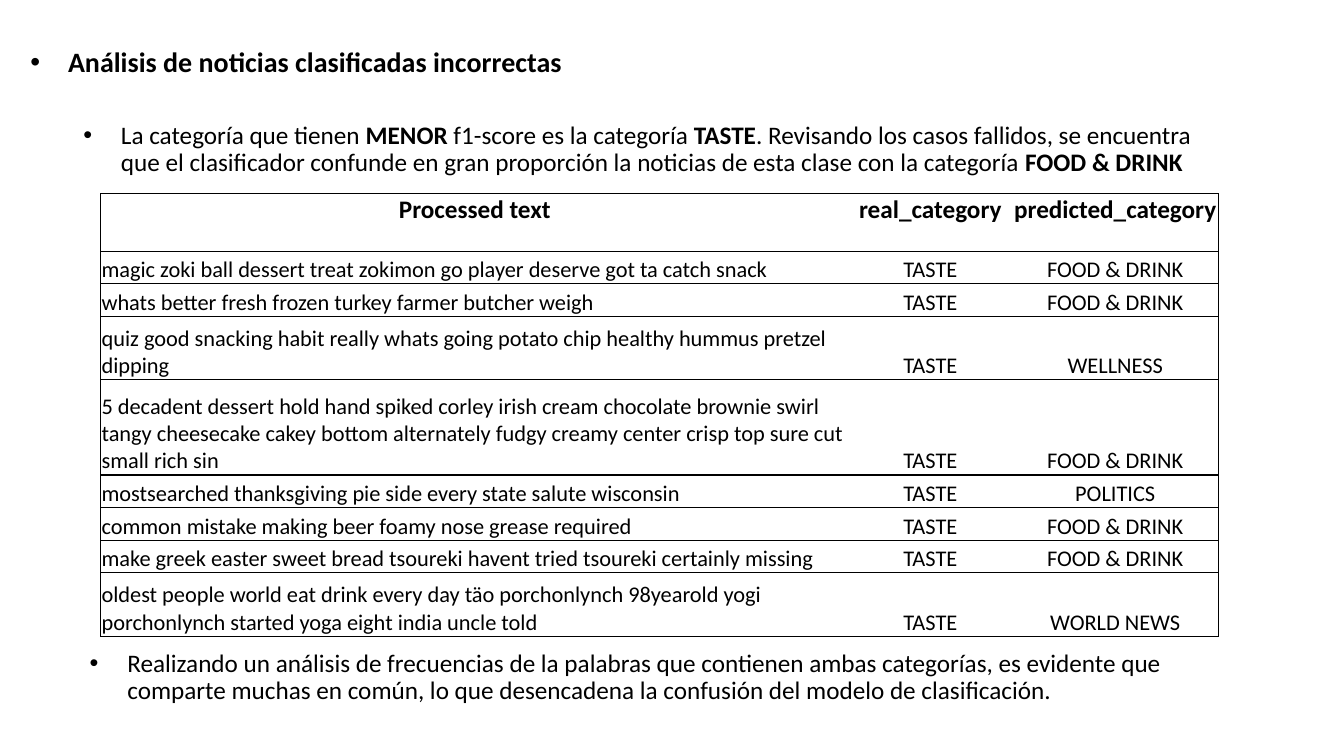
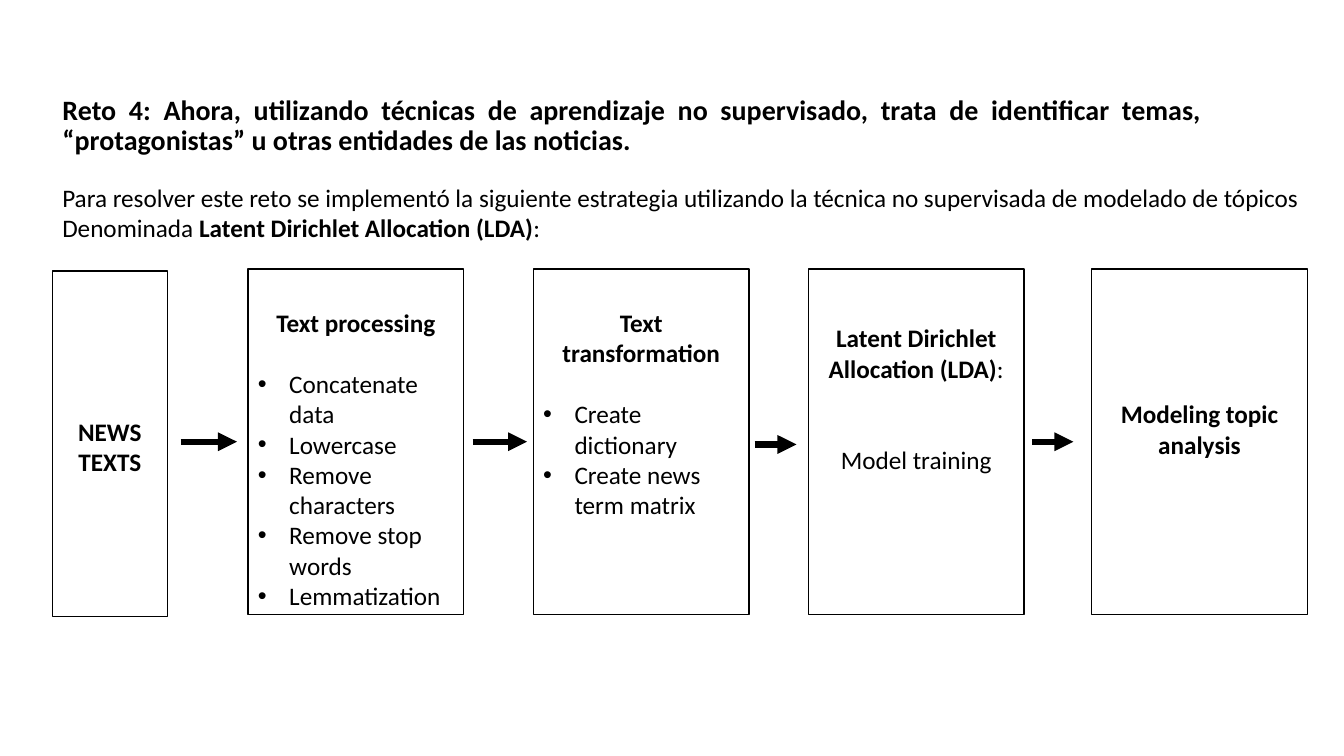
from dataclasses import dataclass

import pptx
import pptx.dml.color
import pptx.enum.shapes
import pptx.enum.text
import pptx.oxml
import pptx.oxml.ns
import pptx.util
from lxml import etree

Cm = pptx.util.Cm
Pt = pptx.util.Pt
ALIGN = pptx.enum.text.PP_ALIGN
ANCHOR = pptx.enum.text.MSO_ANCHOR
qn = pptx.oxml.ns.qn


# Shared look
@dataclass(frozen=True)
class Theme:
    font: str = "Calibri"
    ink: str = "000000"
    paper: str = "FFFFFF"
    title: int = 20
    body: int = 18
    cell: int = 16
    rule: float = 1
    arrow: float = 4.5
    tight: float = 0.9


THEME = Theme()


@dataclass(frozen=True)
class Para:
    text: str  # **marks** set bold runs
    bullet: bool = False
    after: float = 0


@dataclass(frozen=True)
class Step:
    left: float
    top: float
    width: float
    text_top: float
    paras: tuple[Para, ...]


@dataclass(frozen=True)
class Arrow:
    start: float
    end: float
    y: float


def rgb(value: str):
    return pptx.dml.color.RGBColor.from_string(value)


# Text
def write(p, text: str, *, size: float = THEME.body, bold: bool = False,
          align=ALIGN.LEFT, spacing: float = 1, after: float = 0,
          bullet_indent: float = 0) -> None:
    p.alignment = align
    p.line_spacing = spacing
    p.space_before, p.space_after = Pt(0), Pt(after)
    for i, part in enumerate(text.split("**")):
        if part:
            r = p.add_run()
            r.text = part
            r.font.name = THEME.font
            r.font.size = Pt(size)
            r.font.bold = bold or i % 2 == 1
            r.font.color.rgb = rgb(THEME.ink)
    if bullet_indent:
        pPr = p._p.get_or_add_pPr()
        pPr.set("marL", str(Cm(bullet_indent)))
        pPr.set("indent", str(-Cm(bullet_indent)))
        etree.SubElement(pPr, qn("a:buFont")).set("typeface", "Arial")
        etree.SubElement(pPr, qn("a:buChar")).set("char", "•")


def place(sp, left: float, top: float, width: float, height: float):
    sp.left, sp.top, sp.width, sp.height = map(Cm, (left, top, width, height))
    tf = sp.text_frame
    tf.word_wrap = True
    tf.auto_size = pptx.enum.text.MSO_AUTO_SIZE.NONE
    tf.vertical_anchor = ANCHOR.MIDDLE
    return tf


def add_title_slide(prs, text: str, left: float, top: float, height: float,
                    **fmt):
    s = prs.slides.add_slide(prs.slide_layouts.get_by_name("Title Only"))
    tf = place(s.shapes.title, left, top, 29.21, height)
    write(tf.paragraphs[0], text, size=THEME.title, bold=True,
          spacing=THEME.tight, **fmt)
    return s


def add_bullet(s, text: str, left: float, top: float) -> None:
    sp = s.shapes.add_textbox(0, 0, 0, 0)
    tf = place(sp, left, top, 29.21, 2.18)
    write(tf.paragraphs[0], text, spacing=THEME.tight, bullet_indent=0.95)


# Table
def set_borders(cell, sides: str) -> None:
    tcPr = cell._tc.get_or_add_tcPr()
    for i, side in enumerate("LRTB"):
        ln = tcPr.makeelement(qn(f"a:ln{side}"), {"w": str(Pt(THEME.rule))})
        if side in sides:
            fill = etree.SubElement(ln, qn("a:solidFill"))
            etree.SubElement(fill, qn("a:srgbClr")).set("val", THEME.ink)
        else:
            etree.SubElement(ln, qn("a:noFill"))
        tcPr.insert(i, ln)


def add_news_table(s, rows, widths, heights) -> None:
    table = s.shapes.add_table(len(rows), len(widths), Cm(2.54), Cm(4.88),
                               Cm(sum(widths)), Cm(sum(heights))).table
    table.first_row = table.horz_banding = False
    for col, width in zip(table.columns, widths):
        col.width = Cm(width)
    last = len(widths) - 1
    for i, (row, height) in enumerate(zip(rows, heights)):
        table.rows[i].height = Cm(height)
        header = i == 0
        for j, text in enumerate(row):
            cell = table.cell(i, j)
            cell.fill.solid()
            cell.fill.fore_color.rgb = rgb(THEME.paper)
            cell.margin_left = cell.margin_right = cell.margin_top = Cm(0.02)
            cell.margin_bottom = 0
            cell.vertical_anchor = ANCHOR.TOP if header else ANCHOR.BOTTOM
            write(cell.text_frame.paragraphs[0], text, bold=header,
                  size=THEME.body if header else THEME.cell,
                  align=ALIGN.CENTER if header or j else ALIGN.LEFT)
            set_borders(cell, "TB" + "L" * (j == 0) + "R" * (j == last))


# Flow diagram
def add_step(s, step: Step) -> None:
    sp = s.shapes.add_shape(pptx.enum.shapes.MSO_SHAPE.RECTANGLE, 0, 0, 0, 0)
    sp.shadow.inherit = False
    sp.fill.solid()
    sp.fill.fore_color.rgb = rgb(THEME.paper)
    sp.line.color.rgb = rgb(THEME.ink)
    sp.line.width = Pt(THEME.rule)
    tf = place(sp, step.left, step.top, step.width, 8.71)
    tf.vertical_anchor = ANCHOR.TOP
    tf.margin_top = Cm(step.text_top)
    for i, para in enumerate(step.paras):
        p = tf.add_paragraph() if i else tf.paragraphs[0]
        write(p, para.text, after=para.after,
              align=ALIGN.LEFT if para.bullet else ALIGN.CENTER,
              bullet_indent=0.79 if para.bullet else 0)


def add_arrow(s, arrow: Arrow) -> None:
    cx = s.shapes.add_connector(
        pptx.enum.shapes.MSO_CONNECTOR.STRAIGHT,
        Cm(arrow.start), Cm(arrow.y), Cm(arrow.end), Cm(arrow.y))
    cx.line.color.rgb = rgb(THEME.ink)
    cx.line.width = Pt(THEME.arrow)
    etree.SubElement(cx.line._get_or_add_ln(), qn("a:tailEnd")).set("type", "triangle")
    etree.SubElement(cx._element.spPr, qn("a:effectLst"))


# Content
NEWS = [
    ("Processed text", "real_category", "predicted_category"),
    ("magic zoki ball dessert treat zokimon go player deserve got ta catch snack",
     "TASTE", "FOOD & DRINK"),
    ("whats better fresh frozen turkey farmer butcher weigh",
     "TASTE", "FOOD & DRINK"),
    ("quiz good snacking habit really whats going potato chip healthy hummus "
     "pretzel dipping", "TASTE", "WELLNESS"),
    ("5 decadent dessert hold hand spiked corley irish cream chocolate brownie "
     "swirl tangy cheesecake cakey bottom alternately fudgy creamy center crisp "
     "top sure cut small rich sin", "TASTE", "FOOD & DRINK"),
    ("mostsearched thanksgiving pie side every state salute wisconsin",
     "TASTE", "POLITICS"),
    ("common mistake making beer foamy nose grease required",
     "TASTE", "FOOD & DRINK"),
    ("make greek easter sweet bread tsoureki havent tried tsoureki certainly "
     "missing", "TASTE", "FOOD & DRINK"),
    ("oldest people world eat drink every day täo porchonlynch 98yearold yogi "
     "porchonlynch started yoga eight india uncle told", "TASTE", "WORLD NEWS"),
]
COL_WIDTHS = (18.85, 4.11, 5.21)
ROW_HEIGHTS = (1.45, 0.82, 0.82, 1.6, 2.4, 0.82, 0.82, 0.82, 1.6)

LINE_GAP = 22  # one body line
STEPS = [
    Step(1.32, 6.83, 2.9, 3.65, (Para("**NEWS TEXTS**"),)),
    Step(6.25, 6.78, 5.44, 0.97, (
        Para("**Text processing**", after=LINE_GAP),
        *(Para(t, bullet=True) for t in (
            "Concatenate data", "Lowercase", "Remove characters",
            "Remove stop words", "Lemmatization")))),
    Step(13.44, 6.78, 5.44, 0.97, (
        Para("**Text transformation**", after=LINE_GAP),
        *(Para(t, bullet=True) for t in (
            "Create dictionary", "Create news term matrix")))),
    Step(20.37, 6.78, 5.44, 1.35, (
        Para("**Latent Dirichlet Allocation (LDA)**:", after=2 * LINE_GAP),
        Para("Model training"))),
    Step(27.51, 6.78, 5.44, 3.27, (Para("**Modeling topic analysis**"),)),
]
ARROWS = [Arrow(4.55, 5.97, 11.13), Arrow(11.91, 13.28, 11.13),
          Arrow(19.02, 20.07, 11.2), Arrow(26.01, 27.05, 11.13)]


# Slides
def build_errors_slide(prs) -> None:
    s = add_title_slide(prs, "Análisis de noticias clasificadas incorrectas",
                        0.51, 0.51, 2.18, bullet_indent=0.95)
    add_bullet(s, "La categoría que tienen **MENOR** f1-score es la categoría "
               "**TASTE**. Revisando los casos fallidos, se encuentra que el "
               "clasificador confunde en gran proporción la noticias de esta "
               "clase con la categoría **FOOD & DRINK**", 1.85, 2.69)
    add_news_table(s, NEWS, COL_WIDTHS, ROW_HEIGHTS)
    add_bullet(s, "Realizando un análisis de frecuencias de la palabras que "
               "contienen ambas categorías, es evidente que comparte muchas en "
               "común, lo que desencadena la confusión del modelo de "
               "clasificación.", 2.01, 16)


def build_topics_slide(prs) -> None:
    s = add_title_slide(
        prs, "Reto 4: Ahora, utilizando técnicas de aprendizaje no supervisado, "
        "trata de identificar temas, “protagonistas” u otras entidades de las "
        "noticias.", 1.32, 1.37, 3.63, align=ALIGN.JUSTIFY)
    tf = place(s.shapes.add_textbox(0, 0, 0, 0), 1.32, 4.47, 32.05, 1.8)
    tf.vertical_anchor = ANCHOR.TOP
    write(tf.paragraphs[0], "Para resolver este reto se implementó la siguiente "
          "estrategia utilizando la técnica no supervisada de modelado de tópicos")
    write(tf.add_paragraph(), "Denominada **Latent Dirichlet Allocation (LDA)**:")
    for step in STEPS:
        add_step(s, step)
    for arrow in ARROWS:
        add_arrow(s, arrow)


def main() -> None:
    prs = pptx.Presentation()
    prs.slide_width, prs.slide_height = Cm(33.87), Cm(19.05)
    build_errors_slide(prs)
    build_topics_slide(prs)
    prs.save("out.pptx")


if __name__ == "__main__":
    main()
